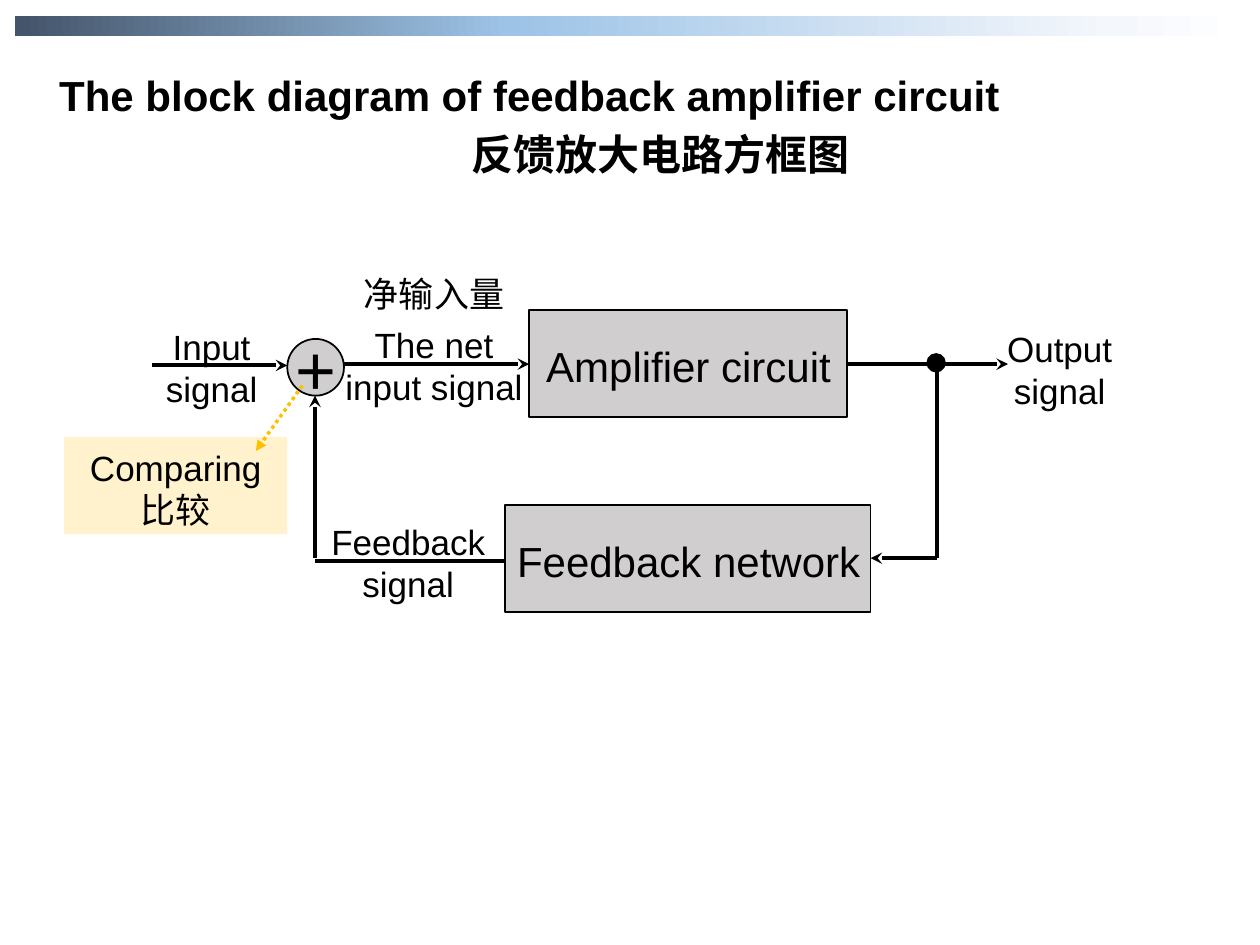
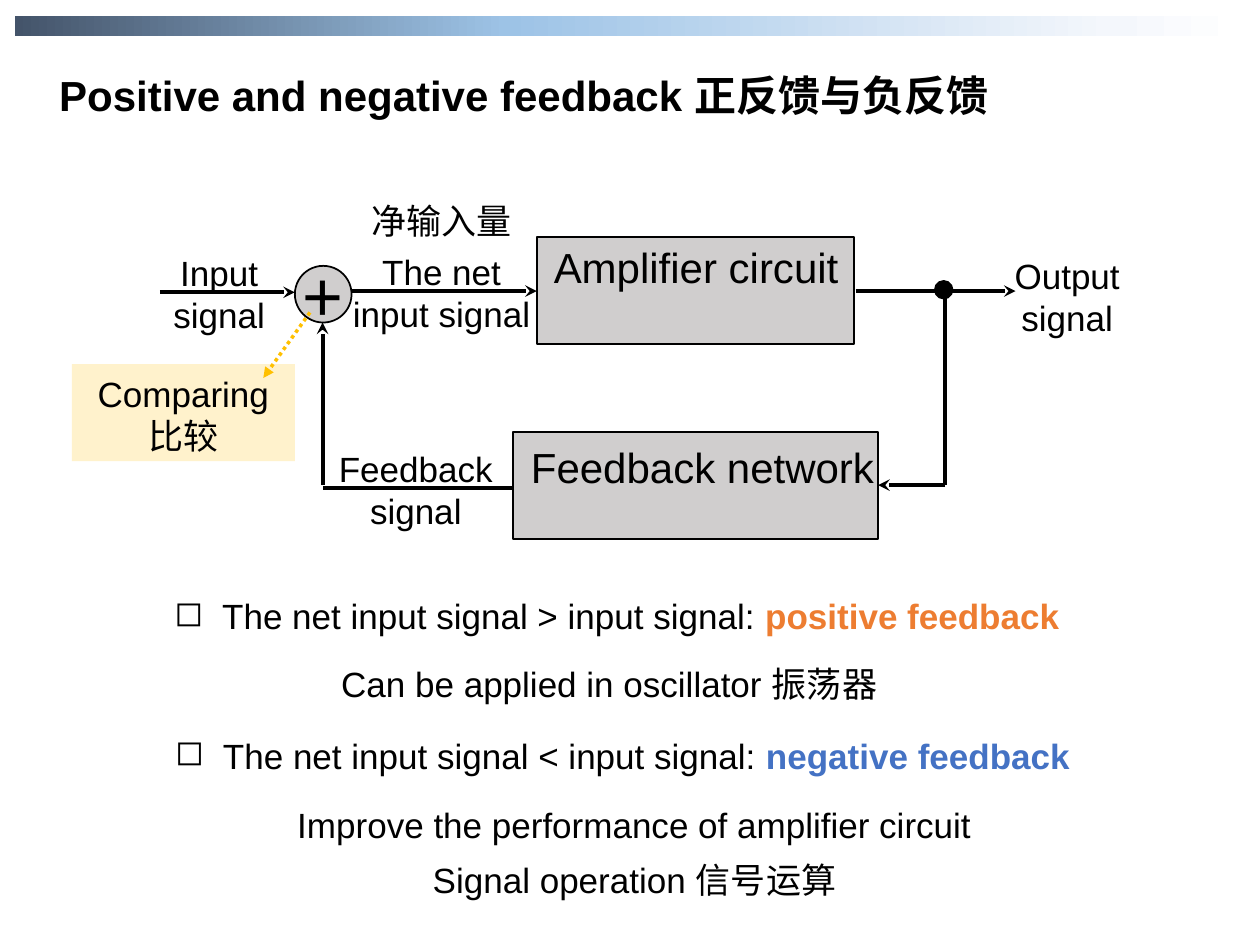
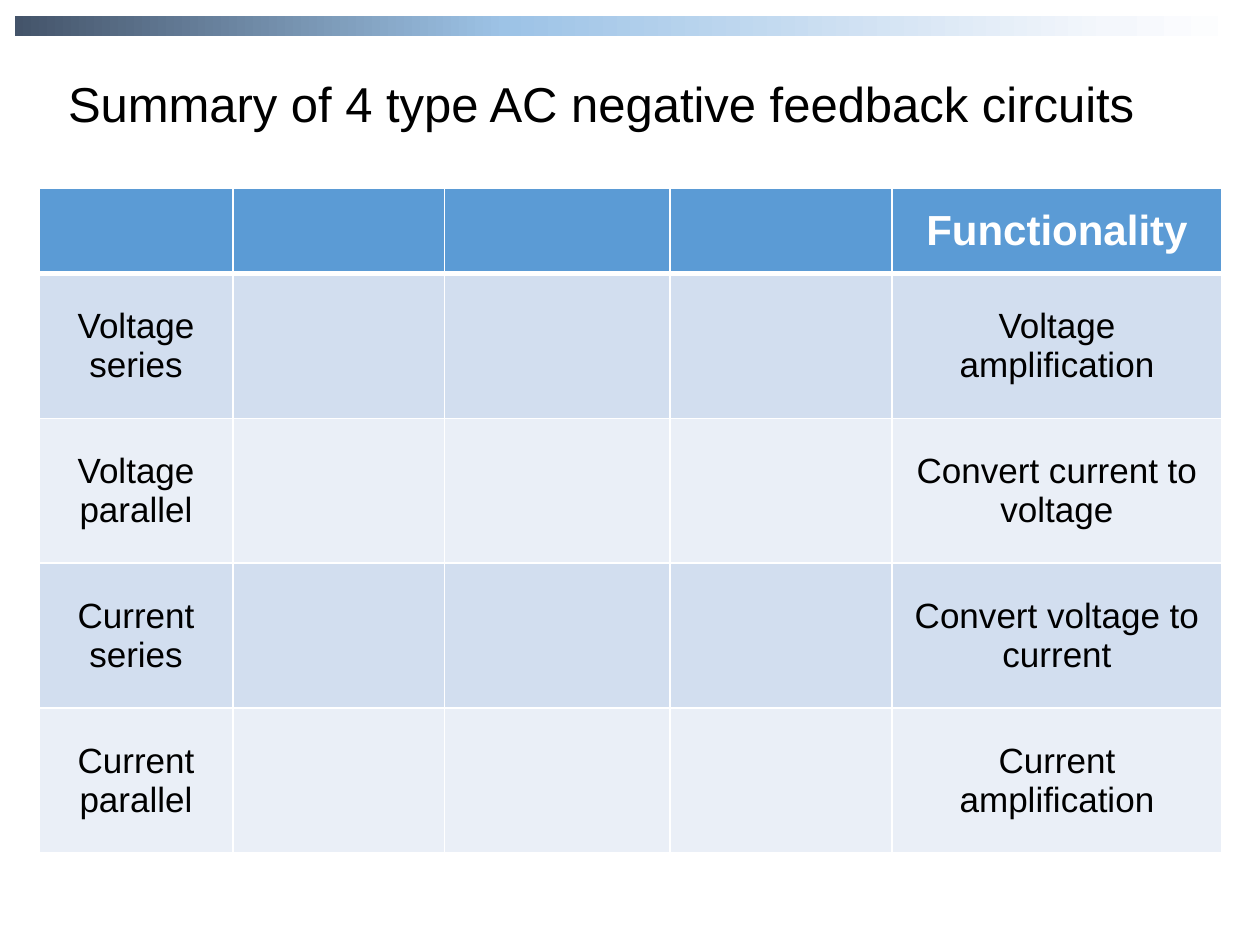
import pptx
import pptx.util
import pptx.dml.color
import pptx.enum.dml
import pptx.enum.shapes
import pptx.enum.text
import pptx.oxml.ns
from lxml import etree

Inches, Pt = pptx.util.Inches, pptx.util.Pt
Color = pptx.dml.color.RGBColor
Kind = pptx.enum.shapes.MSO_SHAPE
Align = pptx.enum.text.PP_ALIGN
Anchor = pptx.enum.text.MSO_ANCHOR
qn = pptx.oxml.ns.qn

BLACK = Color(0, 0, 0)
WHITE = Color(255, 255, 255)
GREY = Color(0xD0, 0xCE, 0xCE)
CREAM = Color(0xFF, 0xF2, 0xCC)
GOLD = Color(0xFF, 0xC0, 0x00)
ORANGE = Color(0xED, 0x7D, 0x31)
BLUE = Color(0x44, 0x72, 0xC4)
HEAD = Color(0x5B, 0x9B, 0xD5)
ROWS = [Color(0xD2, 0xDE, 0xEF), Color(0xEA, 0xEF, 0xF7)]
LATIN, HAN = "Arial", "Noto Sans CJK SC"

BAND = (0.12, 0.13, 9.76, 0.16)
BAND_STOPS = [(0, "44546A"), (40, "9DC3E6"), (89, "F4F7FC"), (100, "FFFFFF")]

# Block diagram: boxes are left, top, width, height
BLOCKS = [
    (Kind.RECTANGLE, (4.2, 2.46, 2.52, 0.85), GREY),
    (Kind.RECTANGLE, (4.01, 4.01, 2.9, 0.85), GREY),
    (Kind.OVAL, (2.28, 2.69, 0.45, 0.45), GREY),
    (Kind.OVAL, (7.36, 2.81, 0.14, 0.14), BLACK),
]
WIRES = [  # from, to, arrowhead
    ((1.21, 2.9), (2.28, 2.9), "stealth"),
    ((2.73, 2.89), (4.2, 2.89), "stealth"),
    ((6.73, 2.89), (8, 2.89), "stealth"),
    ((7.44, 2.92), (7.44, 4.43), None),
    ((7.44, 4.43), (6.91, 4.43), "stealth"),
    ((2.5, 4.43), (2.5, 3.14), "stealth"),
    ((4.02, 4.45), (2.5, 4.45), None),
]
LABELS = [
    ("Input signal", (1.16, 2.51, 1.04, 0.77), 20),
    ("+", (2.23, 2.51, 0.55, 0.77), 40),
    ("Feedback signal", (2.33, 4.06, 1.82, 0.77), 20),
    ("Output signal", (7.87, 2.53, 1.08, 1.1), 20),
    ("The net input signal", (2.6, 2.5, 1.69, 0.77), 20),
    ("净输入量", (2.77, 2.09, 1.35, 0.44), 20),
]
COMPARE = (0.51, 3.47, 1.77, 0.77)

NOTES = [  # runs, box, bulleted
    (["The net input signal > input signal: ", ("positive feedback ", ORANGE)],
     (0.82, 4.65, 8.23, 0.44), True),
    (["Can be applied in oscillator ", "振荡器"], (2.15, 5.19, 5.37, 0.44), False),
    (["The net input signal < input signal: ", ("negative feedback ", BLUE)],
     (1.05, 5.76, 7.86, 0.44), True),
    (["Improve the performance of amplifier circuit"],
     (2.09, 6.31, 5.89, 0.44), False),
    (["Signal operation ", "信号运算"], (2.09, 6.74, 5.89, 0.44), False),
]

TYPES = [
    ("", "Functionality"),
    ("Voltage series", "Voltage amplification"),
    ("Voltage parallel", "Convert current to voltage"),
    ("Current series", "Convert voltage to current"),
    ("Current parallel", "Current amplification"),
]
WIDTHS = [1.54, 1.68, 1.79, 1.76, 2.62]
HEIGHTS = [0.68] + [1.15] * 4


def place(at):
    return [Inches(n) for n in at]


def node(parent, tag, **attrs):
    return etree.SubElement(parent, qn(tag), attrs)


def write(frame, runs, size=20, bold=False, color=BLACK, align=Align.CENTER,
          bullet=False, lead=1.2):
    """Fill a text frame; a run is a string, or a string and its accent colour."""
    para = frame.paragraphs[0]
    if bullet:
        props = para._p.get_or_add_pPr()
        props.set("marL", str(Inches(0.38)))
        props.set("indent", str(Inches(-0.38)))
        node(props, "a:buChar", char="◻")
    para.alignment = align
    para.space_before = Pt(0)
    if lead:
        para.line_spacing = Pt(size * lead)
    for item in [runs] if isinstance(runs, str) else runs:
        words, accent = (item, None) if isinstance(item, str) else item
        run = para.add_run()
        run.text = words
        font = run.font
        font.size = Pt(size)
        font.bold = bold or accent is not None
        font.color.rgb = accent or color
        han = any(ord(c) > 0x2E80 for c in words)
        font.name = HAN if han else LATIN
        node(run._r.get_or_add_rPr(), "a:ea", typeface=HAN)


def fit(frame):
    frame.word_wrap = True
    frame.auto_size = pptx.enum.text.MSO_AUTO_SIZE.NONE
    frame.vertical_anchor = Anchor.TOP
    frame.margin_left = frame.margin_right = Inches(0.1)
    frame.margin_top, frame.margin_bottom = Inches(0.07), Inches(0.03)


def label(slide, runs, at, **form):
    frame = slide.shapes.add_textbox(*place(at)).text_frame
    fit(frame)
    write(frame, runs, **form)


def block(slide, kind, at, fill=None, line=None):
    shape = slide.shapes.add_shape(kind, *place(at))
    shape.shadow.inherit = False
    if fill is not None:
        shape.fill.solid()
        shape.fill.fore_color.rgb = fill
    if line is None:
        shape.line.fill.background()
    else:
        shape.line.color.rgb = line
        shape.line.width = Pt(1)
    return shape


def wire(slide, start, end, tip=None, color=BLACK, width=2.25, dash=None):
    link = slide.shapes.add_connector(
        pptx.enum.shapes.MSO_CONNECTOR.STRAIGHT, *place(start + end))
    link.line.color.rgb = color
    link.line.width = Pt(width)
    if dash:
        link.line.dash_style = dash
    if tip:
        node(link.line._get_or_add_ln(), "a:tailEnd", type=tip)
    node(link._element.spPr, "a:effectLst")


def start(deck, title, at, **form):
    """Add a slide with the shared gradient band and a title."""
    slide = deck.slides.add_slide(deck.slide_layouts[5])
    band = block(slide, Kind.RECTANGLE, BAND)
    band.fill.gradient()
    band.fill.gradient_angle = 0
    stops = band._element.spPr.find(".//" + qn("a:gsLst"))
    for old in list(stops):
        stops.remove(old)
    for spot, shade in BAND_STOPS:
        stop = node(stops, "a:gs", pos=str(spot * 1000))
        node(stop, "a:srgbClr", val=shade)
    head = slide.shapes.title
    head.left, head.top, head.width, head.height = place(at)
    fit(head.text_frame)
    write(head.text_frame, title, align=Align.LEFT, **form)
    return slide


def diagram(slide, dx, dy, names):
    """Draw the feedback loop moved by dx, dy; names are the block captions."""
    def move(at):
        return (round(at[0] + dx, 2), round(at[1] + dy, 2)) + tuple(at[2:])

    for kind, at, fill in BLOCKS:
        block(slide, kind, move(at), fill, BLACK)
    for head, tail, tip in WIRES:
        wire(slide, move(head), move(tail), tip)
    for words, at, size in LABELS:
        label(slide, words, move(at), size=size)
    for words, at in names:
        label(slide, words, at, size=24)
    note = block(slide, Kind.RECTANGLE, move(COMPARE), CREAM)
    fit(note.text_frame)
    write(note.text_frame, ["Comparing ", "比较"])
    wire(slide, move((2.4, 3.06)), move((2.03, 3.58)), "triangle", GOLD, 2,
         pptx.enum.dml.MSO_LINE.ROUND_DOT)


def edge(cell, base):
    """Give a cell white borders, base points wide at the bottom."""
    props = cell._tc.get_or_add_tcPr()
    for side in "LRTB":
        width = Pt(base if side == "B" else 1)
        line = node(props, "a:ln" + side, w=str(width))
        node(node(line, "a:solidFill"), "a:srgbClr", val=str(WHITE))


def summary(slide):
    grid = slide.shapes.add_table(
        len(HEIGHTS), len(WIDTHS),
        *place((0.31, 1.49, sum(WIDTHS), sum(HEIGHTS)))).table
    for col, width in zip(grid.columns, WIDTHS):
        col.width = Inches(width)
    for r, (first, last) in enumerate(TYPES):
        grid.rows[r].height = Inches(HEIGHTS[r])
        top = r == 0
        for c in range(len(WIDTHS)):
            cell = grid.cell(r, c)
            edge(cell, 3 if top else 1)
            cell.fill.solid()
            cell.fill.fore_color.rgb = HEAD if top else ROWS[(r - 1) % 2]
            cell.vertical_anchor = Anchor.MIDDLE
            words = {0: first, len(WIDTHS) - 1: last}.get(c)
            if words:
                write(cell.text_frame, words, size=24 if top else 20,
                      bold=top, color=WHITE if top else BLACK, lead=None)


def main():
    deck = pptx.Presentation()
    deck.slide_width, deck.slide_height = Inches(10), Inches(7.5)
    spot = (0.37, 0.48, 8.49, 0.5)

    loop = start(deck, "The block diagram of feedback amplifier circuit", spot,
                 size=24, bold=True)
    label(loop, "反馈放大电路方框图", (3.58, 0.95, 3.33, 0.5), size=24, bold=True)
    diagram(loop, 0, 0, [("Amplifier circuit", (4.2, 2.63, 2.53, 0.88)),
                         ("Feedback network", (3.97, 4.18, 2.99, 0.88))])

    signs = start(deck, ["Positive and negative feedback ", "正反馈与负反馈"], spot,
                  size=24, bold=True)
    diagram(signs, 0.06, -0.58, [("Amplifier circuit", (4.26, 1.85, 2.53, 0.88)),
                                 ("Feedback network", (4.08, 3.43, 2.99, 0.88))])
    for runs, at, bullet in NOTES:
        label(signs, runs, at, bullet=bullet)

    types = start(deck, "Summary of 4 type AC negative feedback circuits",
                  (0.44, 0.51, 8.98, 0.57), size=28)
    summary(types)
    deck.save("out.pptx")


if __name__ == "__main__":
    main()
